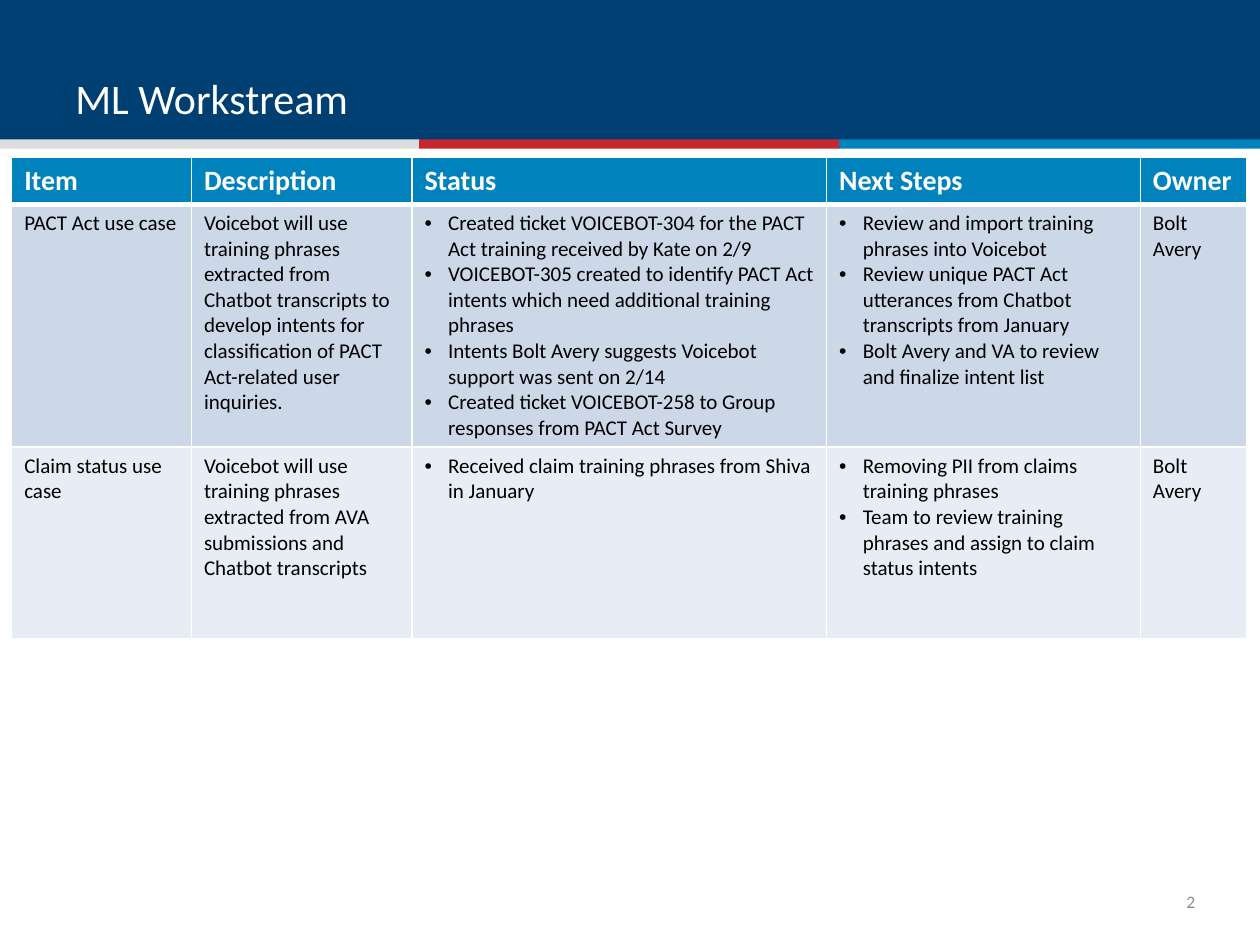
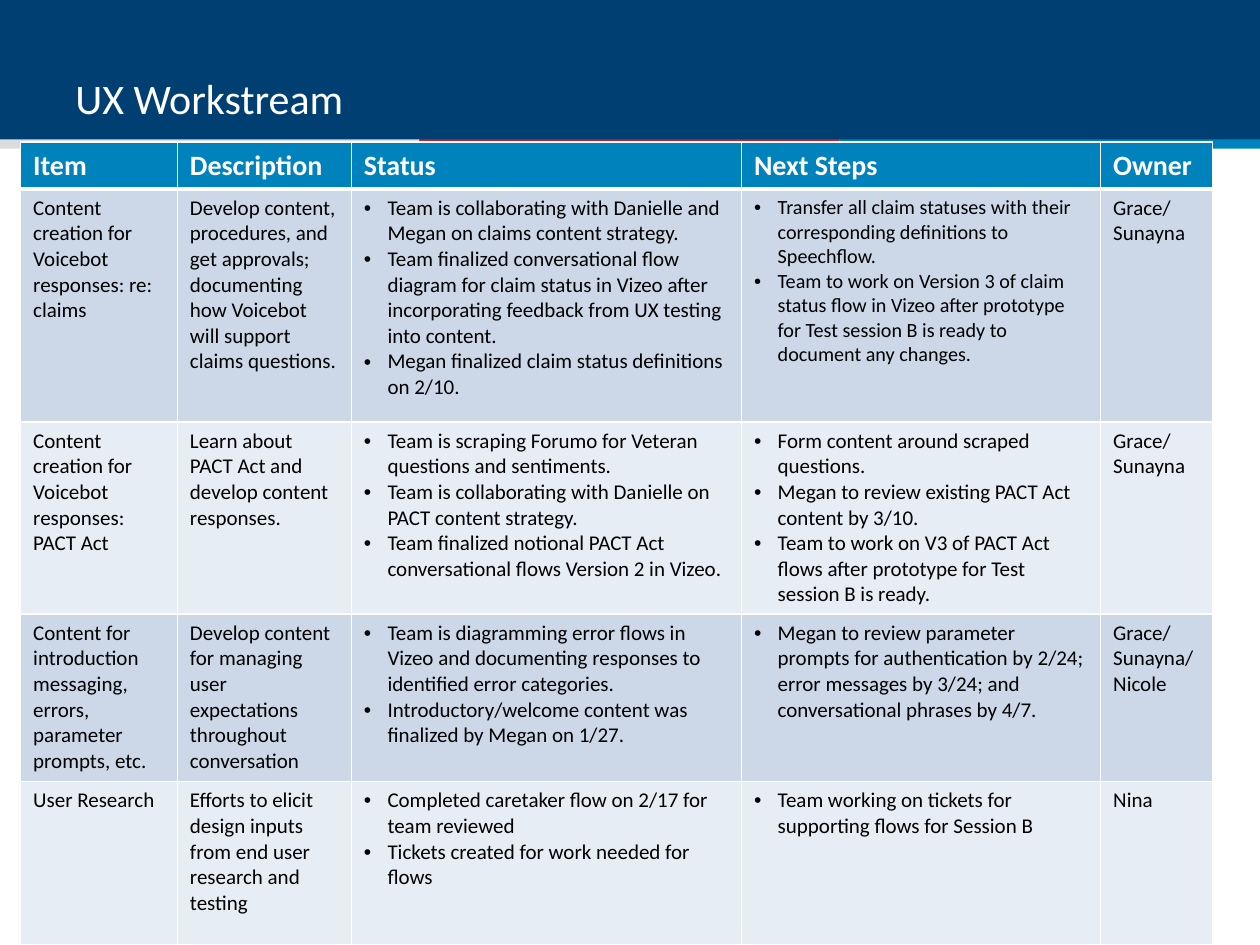
from lxml import etree
from pptx import Presentation
from pptx.dml.color import RGBColor
from pptx.enum.shapes import MSO_SHAPE
from pptx.enum.text import MSO_ANCHOR, PP_ALIGN
from pptx.oxml.ns import qn
from pptx.util import Pt

RECTANGLE = MSO_SHAPE.RECTANGLE
BOTTOM, MIDDLE = MSO_ANCHOR.BOTTOM, MSO_ANCHOR.MIDDLE
RIGHT = PP_ALIGN.RIGHT

# Shared look
FONT = "Calibri"
NAVY = RGBColor(0x00, 0x3F, 0x72)
SILVER = RGBColor(0xDB, 0xDC, 0xDE)
RED = RGBColor(0xC6, 0x26, 0x2D)
BLUE = RGBColor(0x00, 0x82, 0xBD)
WHITE = RGBColor(0xFF, 0xFF, 0xFF)
BLACK = RGBColor(0x00, 0x00, 0x00)
GRAY = RGBColor(0x8C, 0x8C, 0x8C)
ROW_FILLS = [RGBColor(0xCC, 0xD8, 0xE8), RGBColor(0xE7, 0xED, 0xF4)]
SLIDE_WIDTH, SLIDE_HEIGHT = 720, 540
BAND_HEIGHT = 82
STRIP_TOP, STRIP_HEIGHT = 79.7, 5.2
TITLE_SIZE, HEADER_SIZE, BODY_SIZE = 24, 16, 12
BULLET_INDENT = 13.5

# Content: a tuple is a bulleted cell, a string is plain text
HEADERS = ["Item", "Description", "Status", "Next Steps", "Owner"]
WORKSTREAMS = [
    {
        "title": "ML Workstream",
        "number": "2",
        "origin": (6.7, 89.9),
        "columns": [102.7, 126, 237, 179.3, 61],
        "heights": [26.9, 138.7, 109.5],
        "rows": [
            ["PACT Act use case",
             "Voicebot will use training phrases extracted from Chatbot transcripts to "
             "develop intents for classification of PACT Act-related user inquiries.",
             ("Created ticket VOICEBOT-304 for the PACT Act training received by Kate on 2/9",
              "VOICEBOT-305 created to identify PACT Act intents which need additional "
              "training phrases",
              "Intents Bolt Avery suggests Voicebot support was sent on 2/14",
              "Created ticket VOICEBOT-258 to Group responses from PACT Act Survey"),
             ("Review and import training phrases into Voicebot",
              "Review unique PACT Act utterances from Chatbot transcripts from January",
              "Bolt Avery and VA to review and finalize intent list"),
             "Bolt\nAvery"],
            ["Claim status use case",
             "Voicebot will use training phrases extracted from AVA submissions and "
             "Chatbot transcripts",
             ("Received claim training phrases from Shiva in January",),
             ("Removing PII from claims training phrases",
              "Team to review training phrases and assign to claim status intents"),
             "Bolt Avery"],
        ],
    },
    {
        "title": "UX Workstream",
        "origin": (11.8, 81.2),
        "columns": [89.6, 99.4, 223, 205.2, 64],
        "heights": [26.9, 133.1, 109.7, 95.8, 93.3],
        "sizes": {(1, 3): 11.5},
        "rows": [
            ["Content creation for Voicebot responses: re: claims",
             "Develop content, procedures, and get approvals; documenting how Voicebot "
             "will support claims questions.",
             ("Team is collaborating with Danielle and Megan on claims content strategy.",
              "Team finalized conversational flow diagram for claim status in Vizeo after "
              "incorporating feedback from UX testing into content.",
              "Megan finalized claim status definitions on 2/10."),
             ("Transfer all claim statuses with their corresponding definitions to "
              "Speechflow.",
              "Team to work on Version 3 of claim status flow in Vizeo after prototype for "
              "Test session B is ready to document any changes."),
             "Grace/ Sunayna"],
            ["Content creation for Voicebot responses: PACT Act",
             "Learn about PACT Act and develop content responses.",
             ("Team is scraping Forumo for Veteran questions and sentiments.",
              "Team is collaborating with Danielle on PACT content strategy.",
              "Team finalized notional PACT Act conversational flows Version 2 in Vizeo."),
             ("Form content around scraped questions.",
              "Megan to review existing PACT Act content by 3/10.",
              "Team to work on V3 of PACT Act flows after prototype for Test session B "
              "is ready."),
             "Grace/\nSunayna"],
            ["Content for introduction messaging, errors, parameter prompts, etc.",
             "Develop content for managing user expectations throughout conversation",
             ("Team is diagramming error flows in Vizeo and documenting responses to "
              "identified error categories.",
              "Introductory/welcome content was finalized by Megan on 1/27."),
             ("Megan to review parameter prompts for authentication by 2/24; error "
              "messages by 3/24; and conversational phrases by 4/7.",),
             "Grace/\nSunayna/\nNicole"],
            ["User Research",
             "Efforts to elicit design inputs from end user research and testing",
             ("Completed caretaker flow on 2/17 for team reviewed",
              "Tickets created for work needed for flows"),
             ("Team working on tickets for supporting flows for Session B",),
             "Nina"],
        ],
    },
]


def style_runs(paragraph, size, color, bold=False):
    for run in paragraph.runs:
        run.font.name = FONT
        run.font.size = Pt(size)
        run.font.bold = bold
        run.font.color.rgb = color


def add_rectangle(slide, left, top, width, height, color):
    shape = slide.shapes.add_shape(RECTANGLE, Pt(left), Pt(top), Pt(width), Pt(height))
    shape.shadow.inherit = False
    shape.fill.solid()
    shape.fill.fore_color.rgb = color
    shape.line.fill.background()


def add_text(slide, text, left, top, width, height, size, color, anchor):
    box = slide.shapes.add_textbox(Pt(left), Pt(top), Pt(width), Pt(height))
    frame = box.text_frame
    frame.word_wrap = True
    frame.vertical_anchor = anchor
    frame.text = text
    style_runs(frame.paragraphs[0], size, color)
    return frame


def add_frame(slide, title, number):
    """Draw the title band, the three-colour strip and the page number."""
    add_rectangle(slide, 0, 0, SLIDE_WIDTH, BAND_HEIGHT, NAVY)
    strip_width = SLIDE_WIDTH / 3
    for index, color in enumerate([SILVER, RED, BLUE]):
        add_rectangle(slide, index * strip_width - 0.5, STRIP_TOP,
                      strip_width + 0.5, STRIP_HEIGHT, color)
    add_text(slide, title, 36, 10, 648, 64, TITLE_SIZE, WHITE, BOTTOM)
    if number:
        frame = add_text(slide, number, 664, 501, 19, 28.8, 10, GRAY, MIDDLE)
        frame.margin_left = frame.margin_right = 0
        frame.margin_top = frame.margin_bottom = 0
        frame.paragraphs[0].alignment = RIGHT


def add_bullet(paragraph):
    properties = paragraph._p.get_or_add_pPr()
    properties.set("marL", str(Pt(BULLET_INDENT)))
    properties.set("indent", str(-Pt(BULLET_INDENT)))
    etree.SubElement(properties, qn("a:buFont")).set("typeface", "Arial")
    etree.SubElement(properties, qn("a:buChar")).set("char", "•")


def set_borders(cell, widths):
    properties = cell._tc.get_or_add_tcPr()
    for index, (side, width) in enumerate(widths.items()):
        line = etree.Element(qn("a:ln" + side), w=str(Pt(width)))
        fill = etree.SubElement(line, qn("a:solidFill"))
        etree.SubElement(fill, qn("a:srgbClr")).set("val", str(WHITE))
        properties.insert(index, line)


def fill_cell(cell, content, row, size):
    is_header = row == 0
    bulleted = isinstance(content, tuple)
    cell.text_frame.text = "\n".join(content) if bulleted else content
    for paragraph in cell.text_frame.paragraphs:
        if bulleted:
            add_bullet(paragraph)
        style_runs(paragraph, size, WHITE if is_header else BLACK, is_header)
    cell.fill.solid()
    cell.fill.fore_color.rgb = BLUE if is_header else ROW_FILLS[(row - 1) % 2]
    # The line under the header is thicker
    set_borders(cell, {"L": 1, "R": 1, "T": 3 if row == 1 else 1,
                       "B": 3 if is_header else 1})


def add_status_table(slide, workstream):
    rows = [HEADERS] + workstream["rows"]
    columns, heights = workstream["columns"], workstream["heights"]
    left, top = workstream["origin"]
    table = slide.shapes.add_table(len(rows), len(columns), Pt(left), Pt(top),
                                   Pt(sum(columns)), Pt(sum(heights))).table
    for column, width in zip(table.columns, columns):
        column.width = Pt(width)
    for table_row, height in zip(table.rows, heights):
        table_row.height = Pt(height)
    sizes = workstream.get("sizes", {})
    for row, contents in enumerate(rows):
        for column, content in enumerate(contents):
            size = sizes.get((row, column), BODY_SIZE if row else HEADER_SIZE)
            fill_cell(table.cell(row, column), content, row, size)


def main():
    presentation = Presentation()
    presentation.slide_width = Pt(SLIDE_WIDTH)
    presentation.slide_height = Pt(SLIDE_HEIGHT)
    for workstream in WORKSTREAMS:
        slide = presentation.slides.add_slide(presentation.slide_layouts[6])
        add_frame(slide, workstream["title"], workstream.get("number"))
        add_status_table(slide, workstream)
    presentation.save("out.pptx")


if __name__ == "__main__":
    main()
